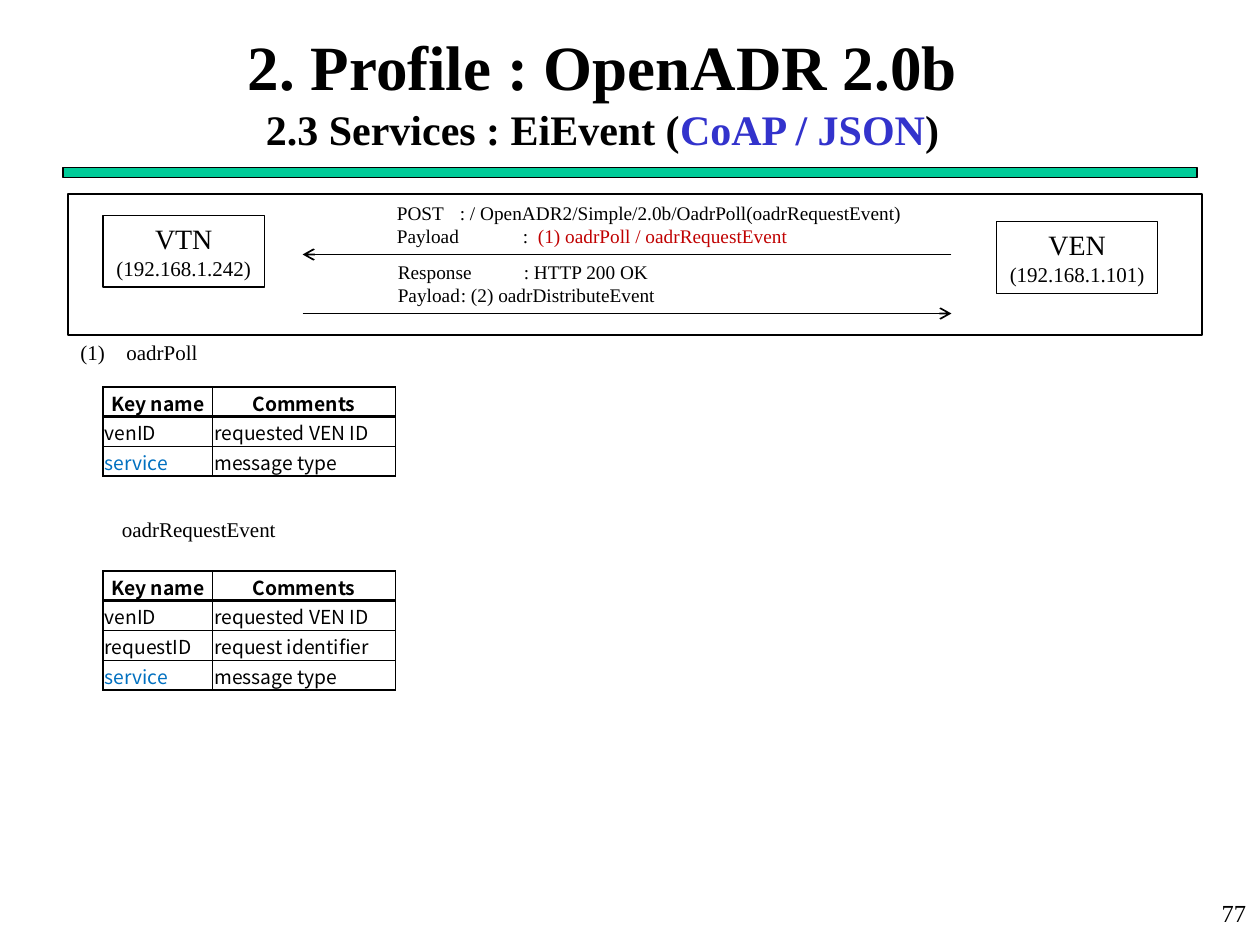
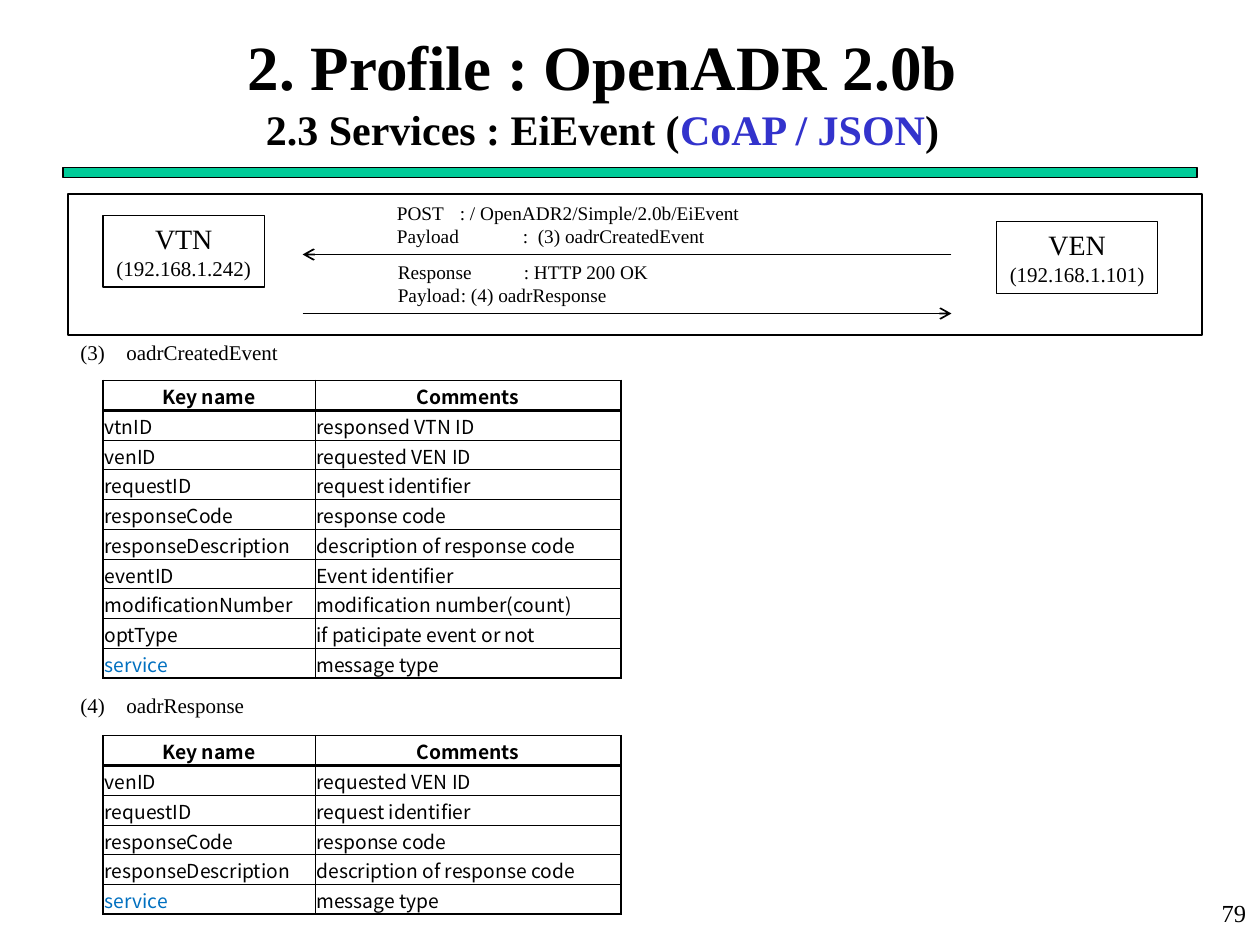
from dataclasses import dataclass

from lxml.etree import SubElement
from pptx import Presentation
from pptx.dml.color import RGBColor as Rgb
from pptx.enum.shapes import MSO_CONNECTOR as Connector, MSO_SHAPE as Preset
from pptx.enum.text import MSO_ANCHOR as Anchor, PP_ALIGN as Align
from pptx.oxml.ns import qn
from pptx.util import Cm, Pt


@dataclass(frozen=True)
class Theme:
    """Colours, fonts and type sizes shared by the slides."""

    ink: str = "000000"
    paper: str = "FFFFFF"
    band: str = "00CC99"
    protocol: str = "3333CC"
    poll: str = "C00000"
    service: str = "0070C0"
    serif: str = "Times New Roman"
    sans: str = "Noto Sans CJK KR"
    title: int = 36
    subtitle: int = 24
    node: int = 16
    page: int = 14
    body: int = 12
    small: int = 11
    thin: float = 0.5
    edge: float = 0.75
    medium: float = 1
    thick: float = 2


class Deck:
    """Draws styled elements on the current slide."""

    def __init__(self, theme):
        self.theme = theme
        self.show = Presentation()
        self.show.slide_width, self.show.slide_height = Cm(25.4), Cm(19.05)

    def new_slide(self):
        """Start a blank slide."""
        self.slide = self.show.slides.add_slide(self.show.slide_layouts[6])

    def set_paragraph(self, paragraph, content, size, align=Align.LEFT, bold=False,
                      color=None, font=None):
        """Fill a paragraph from a string or from (text, colour) pairs."""
        style = paragraph.font
        style.name, style.size, style.bold = font or self.theme.serif, Pt(size), bold
        style.color.rgb = Rgb.from_string(color or self.theme.ink)
        paragraph.alignment = align
        pairs = [(content, None)] if isinstance(content, str) else content
        for text, accent in pairs:
            run = paragraph.add_run()
            run.text = text
            if accent:
                run.font.color.rgb = Rgb.from_string(accent)

    def set_lines(self, frame, lines, **style):
        """Set (content, size) lines as the paragraphs of a frame."""
        for index, (content, size) in enumerate(lines):
            paragraph = frame.add_paragraph() if index else frame.paragraphs[0]
            self.set_paragraph(paragraph, content, size, **style)

    def text(self, left, top, width, height, lines, anchor=Anchor.TOP, **style):
        """Add a wrapped text box."""
        frame = self.slide.shapes.add_textbox(
            Cm(left), Cm(top), Cm(width), Cm(height)).text_frame
        frame.word_wrap, frame.vertical_anchor = True, anchor
        self.set_lines(frame, lines, **style)

    def box(self, left, top, width, height, fill, weight, lines=()):
        """Add an outlined rectangle with centred lines."""
        shape = self.slide.shapes.add_shape(
            Preset.RECTANGLE, Cm(left), Cm(top), Cm(width), Cm(height))
        shape.shadow.inherit = False
        shape.fill.solid()
        shape.fill.fore_color.rgb = Rgb.from_string(fill)
        shape.line.color.rgb = Rgb.from_string(self.theme.ink)
        shape.line.width = Pt(weight)
        shape.text_frame.word_wrap = False
        shape.text_frame.vertical_anchor = Anchor.TOP
        self.set_lines(shape.text_frame, lines, align=Align.CENTER)

    def arrow(self, start, end, y):
        """Add a horizontal arrow."""
        arrow = self.slide.shapes.add_connector(
            Connector.STRAIGHT, Cm(start), Cm(y), Cm(end), Cm(y))
        arrow.line.color.rgb = Rgb.from_string(self.theme.ink)
        arrow.line.width = Pt(self.theme.medium)
        properties = arrow.element.spPr
        SubElement(properties.find(qn("a:ln")), qn("a:tailEnd"), type="arrow")
        SubElement(properties, qn("a:effectLst"))

    def label(self, top, name, number=None):
        """Name a payload, numbered in brackets when a number is given."""
        frame = self.slide.shapes.add_textbox(
            Cm(1.37), Cm(top), Cm(17.5), Cm(0.75)).text_frame
        frame.word_wrap = True
        paragraph = frame.paragraphs[0]
        properties = paragraph._p.get_or_add_pPr()
        if number:
            properties.set("marL", str(Cm(0.93)))
            properties.set("indent", str(-Cm(0.93)))
            SubElement(properties, qn("a:buFont"), typeface=self.theme.serif)
            SubElement(properties, qn("a:buAutoNum"), type="arabicParenBoth",
                       startAt=str(number))
        else:
            properties.set("marL", str(Cm(0.84)))
        self.set_paragraph(paragraph, name, self.theme.body)

    def border(self, cell, **weights):
        """Draw the four sides of a cell."""
        properties = cell._tc.get_or_add_tcPr()
        for side in "LRTB":
            line = SubElement(properties, qn(f"a:ln{side}"), w=str(Pt(weights[side])))
            fill = SubElement(line, qn("a:solidFill"))
            SubElement(fill, qn("a:srgbClr"), val=self.theme.ink)

    def key_table(self, top, widths, keys):
        """List message keys with their comments under a header row."""
        theme = self.theme
        rows = [("Key name", "Comments"), *((key, COMMENTS[key]) for key in keys)]
        table = self.slide.shapes.add_table(
            len(rows), 2, Cm(2.08), Cm(top), Cm(sum(widths)), Cm(0.6 * len(rows))).table
        table.first_row = table.horz_banding = False
        for column, width in zip(table.columns, widths):
            column.width = Cm(width)
        for r, row in enumerate(rows):
            table.rows[r].height = Cm(0.6)
            header, last = r == 0, r == len(rows) - 1
            for c, text in enumerate(row):
                cell = table.cell(r, c)
                cell.margin_left = cell.margin_right = cell.margin_top = Cm(0.03)
                cell.margin_bottom = 0
                cell.vertical_anchor = Anchor.MIDDLE
                self.border(
                    cell,
                    L=theme.thin if c else theme.medium,
                    R=theme.medium if c else theme.thin,
                    T=theme.medium if header else theme.thick if r == 1 else theme.thin,
                    B=theme.thick if header else theme.medium if last else theme.thin)
                cell.fill.background()
                self.set_paragraph(
                    cell.text_frame.paragraphs[0], text, theme.small,
                    align=Align.CENTER if header else Align.LEFT, bold=header,
                    color=theme.service if text == "service" else theme.ink,
                    font=theme.sans)

    def frame(self, page):
        """Add the title, the band and the page number."""
        theme = self.theme
        self.box(1.27, 3.38, 22.86, 0.2, theme.band, theme.edge)
        self.text(0.08, 0.66, 24.13, 2.34, [
            ("2. Profile : OpenADR 2.0b", theme.title),
            ([("2.3 Services : EiEvent (", None), ("CoAP / JSON", theme.protocol),
              (")", None)], theme.subtitle),
        ], anchor=Anchor.MIDDLE, align=Align.CENTER, bold=True)
        self.text(20.09, 17.98, 5.28, 1.07, [(page, theme.page)], align=Align.RIGHT)

    def exchange(self, request, response):
        """Show the request from VEN to VTN and the response to it."""
        theme = self.theme
        self.box(1.37, 3.91, 22.86, 2.84, theme.paper, theme.medium)
        for name, address, left, top in (("VTN", "(192.168.1.242)", 2.08, 4.34),
                                         ("VEN", "(192.168.1.101)", 20.09, 4.47)):
            self.box(left, top, 3.25, 1.45, theme.paper, theme.edge,
                     [(name, theme.node), (address, theme.body)])
        self.arrow(19.18, 6.1, 5.13)
        self.arrow(6.1, 19.18, 6.32)
        for left, top, lines in ((7.75, 3.94, request), (7.77, 5.13, response)):
            self.text(left, top, 12.3, 1.19, [(line, theme.small) for line in lines])


COMMENTS = {
    "vtnID": "responsed VTN ID",
    "venID": "requested VEN ID",
    "requestID": "request identifier",
    "responseCode": "response code",
    "responseDescription": "description of response code",
    "eventID": "Event identifier",
    "modificationNumber": "modification number(count)",
    "optType": "if paticipate event or not",
    "service": "message type",
}
NARROW, WIDE = (2.21, 3.68), (4.27, 6.17)


def poll_slide(deck):
    """Polling for events."""
    deck.new_slide()
    deck.frame("77")
    deck.exchange(
        ["POST \t: / OpenADR2/Simple/2.0b/OadrPoll(oadrRequestEvent)",
         [("Payload \t: ", None), (" (1) oadrPoll / oadrRequestEvent", deck.theme.poll)]],
        ["Response\t: HTTP 200 OK", "Payload\t: (2) oadrDistributeEvent"])
    deck.label(6.73, "oadrPoll", 1)
    deck.key_table(7.8, NARROW, ["venID", "service"])
    deck.label(10.29, "oadrRequestEvent")
    deck.key_table(11.51, NARROW, ["venID", "requestID", "service"])


def created_slide(deck):
    """Confirming a created event."""
    deck.new_slide()
    deck.frame("79")
    deck.exchange(
        ["POST \t: / OpenADR2/Simple/2.0b/EiEvent", "Payload \t:  (3) oadrCreatedEvent"],
        ["Response\t: HTTP 200 OK", "Payload\t: (4) oadrResponse"])
    deck.label(6.73, "oadrCreatedEvent", 3)
    deck.key_table(7.67, WIDE, COMMENTS)
    deck.label(13.84, "oadrResponse", 4)
    deck.key_table(14.83, WIDE, ["venID", "requestID", "responseCode",
                                 "responseDescription", "service"])


def main():
    """Build and save the slides."""
    deck = Deck(Theme())
    poll_slide(deck)
    created_slide(deck)
    deck.show.save("out.pptx")


if __name__ == "__main__":
    main()
